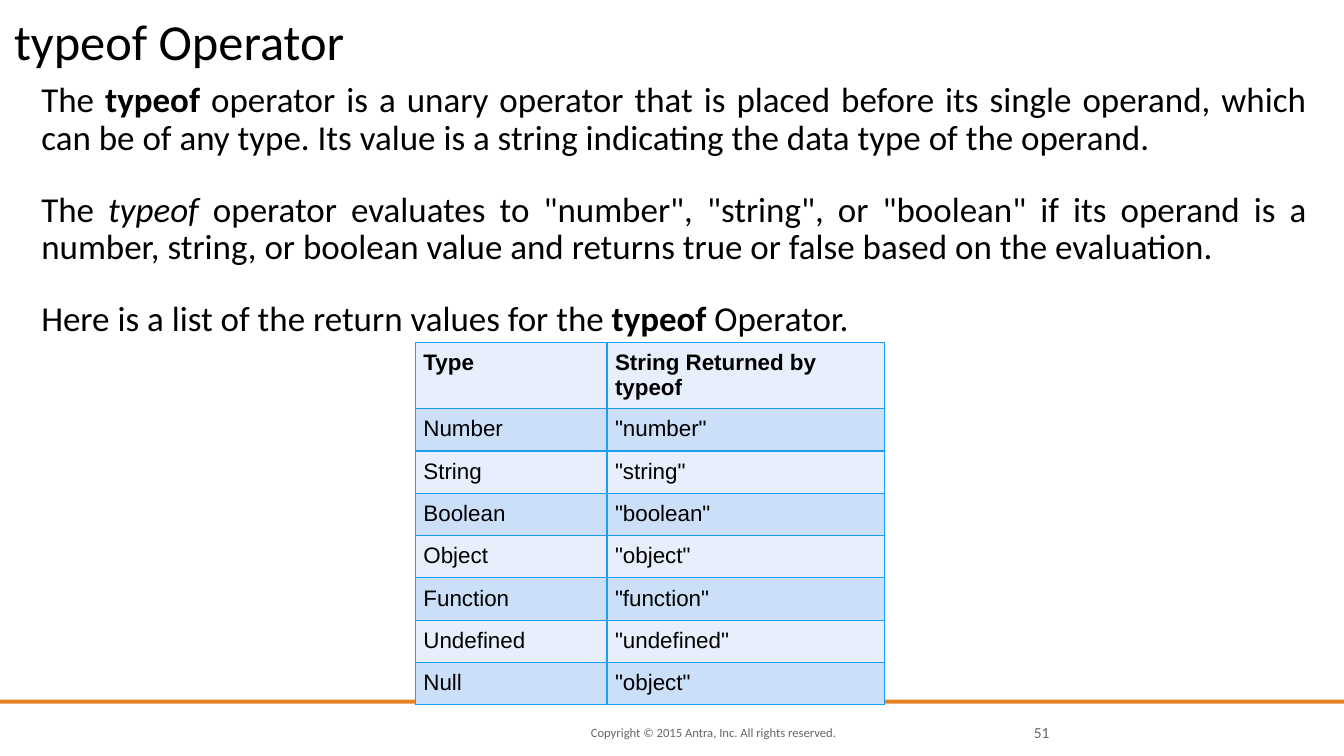
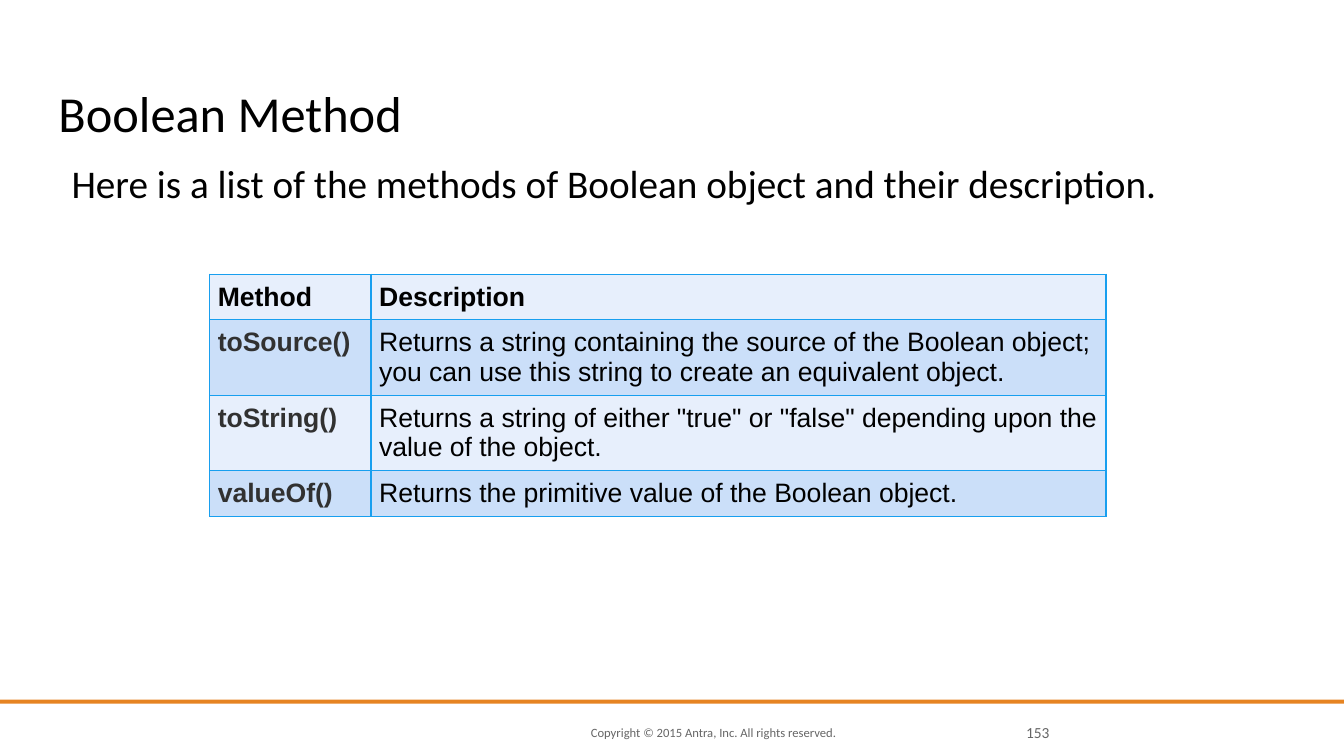
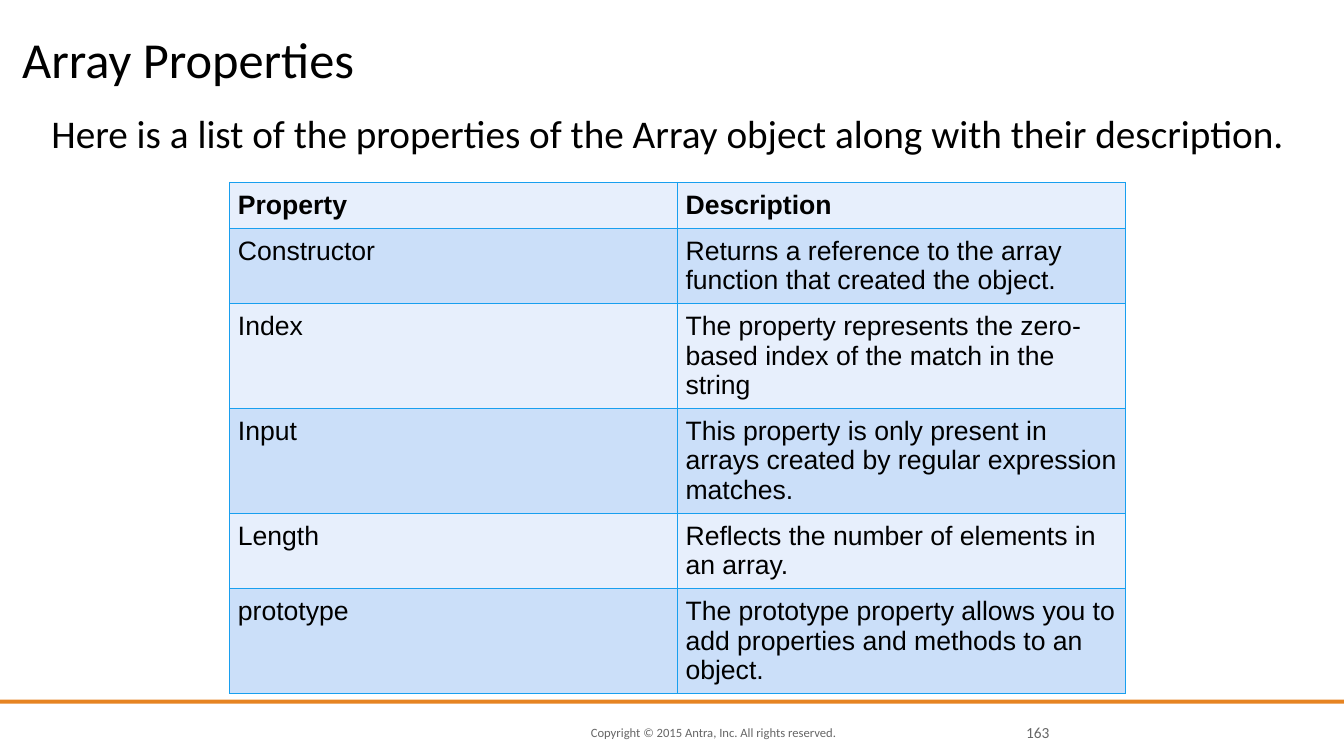
from lxml.etree import SubElement
from pptx import Presentation
from pptx.dml.color import RGBColor
from pptx.enum.shapes import MSO_SHAPE
from pptx.enum.text import MSO_ANCHOR, MSO_AUTO_SIZE, PP_ALIGN
from pptx.oxml.ns import qn
from pptx.util import Inches, Pt

BLACK = RGBColor(0x00, 0x00, 0x00)
CHARCOAL = RGBColor(0x31, 0x31, 0x31)
GRAY = RGBColor(0x66, 0x66, 0x66)
ORANGE = RGBColor(0xE6, 0x84, 0x22)
BORDER = RGBColor(0x18, 0x9F, 0xEF)
BANDS = RGBColor(0xE7, 0xEF, 0xFC), RGBColor(0xCB, 0xDF, 0xF9)


def add_text(p, text, size=18, font="Calibri", color=BLACK, bold=False, italic=False):
    r = p.add_run()
    r.text = text
    r.font.size = Pt(size)
    r.font.name = font
    r.font.color.rgb = color
    r.font.bold = bold
    r.font.italic = italic


class Deck:
    footer = "Copyright © 2015 Antra, Inc. All rights reserved."

    def __init__(self):
        self.prs = Presentation()
        self.prs.slide_width = Inches(13.33)
        self.prs.slide_height = Inches(7.5)
        self.s = None

    def add_slide(self, number):
        self.s = self.prs.slides.add_slide(self.prs.slide_layouts[1])
        band = self.s.shapes.add_shape(
            MSO_SHAPE.RECTANGLE, 0, Inches(6.94), self.prs.slide_width, Inches(0.04))
        band.shadow.inherit = False
        band.fill.solid()
        band.fill.fore_color.rgb = ORANGE
        band.line.fill.background()
        self.note(self.footer, 5.86, 3.05, 9, PP_ALIGN.LEFT)
        self.note(str(number), 9.99, 0.42, 11, PP_ALIGN.RIGHT)

    def frame(self, sp, anchor):
        tf = sp.text_frame
        tf.margin_left = tf.margin_right = tf.margin_top = tf.margin_bottom = 0
        tf.auto_size = MSO_AUTO_SIZE.NONE
        tf.word_wrap = True
        tf.vertical_anchor = anchor
        return tf

    def place(self, sp, left, top, width, height):
        sp.left, sp.top = Inches(left), Inches(top)
        sp.width, sp.height = Inches(width), Inches(height)

    def note(self, text, left, width, size, align):
        sp = self.s.shapes.add_textbox(
            Inches(left), Inches(7.17), Inches(width), Inches(0.2))
        p = self.frame(sp, MSO_ANCHOR.MIDDLE).paragraphs[0]
        p.alignment = align
        add_text(p, text, size=size, color=GRAY)

    def title(self, text, left, top, height):
        sp = self.s.shapes.title
        self.place(sp, left, top, 12.17, height)
        p = self.frame(sp, MSO_ANCHOR.BOTTOM).paragraphs[0]
        p.alignment = PP_ALIGN.LEFT
        p.line_spacing = 0.8
        add_text(p, text, size=36)

    def body(self, paragraphs, left, top, width, size=28, align=PP_ALIGN.LEFT):
        sp = self.s.placeholders[1]
        self.place(sp, left, top, width, 4.33)
        tf = self.frame(sp, MSO_ANCHOR.TOP)
        for i, runs in enumerate(paragraphs):
            p = tf.add_paragraph() if i else tf.paragraphs[0]
            pPr = p._p.get_or_add_pPr()
            pPr.set("marL", "0")
            pPr.set("indent", "0")
            SubElement(pPr, qn("a:buNone"))
            p.alignment = align
            p.line_spacing = 0.9
            p.space_before = Pt(24 if i else 0)
            for text, style in runs:
                add_text(p, text, size=size, **style)

    def borders(self, cell):
        tcPr = cell._tc.get_or_add_tcPr()
        for side in ("L", "R", "T", "B"):
            ln = SubElement(tcPr, qn(f"a:ln{side}"), w=str(Pt(1)))
            fill = SubElement(ln, qn("a:solidFill"))
            SubElement(fill, qn("a:srgbClr"), val=str(BORDER))

    def table(self, rows, left, top, widths, row_height=0.41, size=19, key_style=None):
        tbl = self.s.shapes.add_table(
            len(rows), len(widths), Inches(left), Inches(top),
            Inches(sum(widths)), Inches(row_height * len(rows))).table
        tbl.first_row = tbl.horz_banding = False
        for col, width in zip(tbl.columns, widths):
            col.width = Inches(width)
        for i, row in enumerate(rows):
            tbl.rows[i].height = Inches(row_height)
            for j, text in enumerate(row):
                cell = tbl.cell(i, j)
                cell.margin_left = cell.margin_right = Inches(0.08)
                cell.margin_top = cell.margin_bottom = Inches(0.08)
                self.borders(cell)
                cell.fill.solid()
                cell.fill.fore_color.rgb = BANDS[i % 2]
                style = {"bold": True} if i == 0 else (key_style or {}) if j == 0 else {}
                add_text(cell.text_frame.paragraphs[0], text, size=size, font="Arial", **style)


def main():
    deck = Deck()

    deck.add_slide(51)
    deck.title("typeof Operator", 0.14, 0.16, 0.54)
    deck.body([
        [("The ", {}), ("typeof", {"bold": True}),
         (" operator is a unary operator that is placed before its single operand, "
          "which can be of any type. Its value is a string indicating the data type "
          "of the operand.", {})],
        [("The ", {}), ("typeof", {"italic": True}),
         (' operator evaluates to "number", "string", or "boolean" if its operand is '
          "a number, string, or boolean value and returns true or false based on the "
          "evaluation.", {})],
        [("Here is a list of the return values for the ", {}),
         ("typeof", {"bold": True}), (" Operator.", {})],
    ], 0.41, 0.82, 12.55, size=25, align=PP_ALIGN.JUSTIFY)
    deck.table([
        ("Type", "String Returned by typeof"),
        ("Number", '"number"'),
        ("String", '"string"'),
        ("Boolean", '"boolean"'),
        ("Object", '"object"'),
        ("Function", '"function"'),
        ("Undefined", '"undefined"'),
        ("Null", '"object"'),
    ], 4.12, 3.4, (1.9, 2.75), row_height=0.42, size=16)

    deck.add_slide(153)
    deck.title("Boolean Method", 0.58, 0.44, 0.97)
    deck.body([[("Here is a list of the methods of Boolean object and their description.", {})]],
              0.71, 1.63, 11.62)
    deck.table([
        ("Method", "Description"),
        ("toSource()", "Returns a string containing the source of the Boolean object; "
                       "you can use this string to create an equivalent object."),
        ("toString()", 'Returns a string of either "true" or "false" depending upon '
                       "the value of the object."),
        ("valueOf()", "Returns the primitive value of the Boolean object."),
    ], 2.08, 2.72, (1.6, 7.29), key_style={"bold": True, "color": CHARCOAL})

    deck.add_slide(163)
    deck.title("Array Properties", 0.22, 0.23, 0.65)
    deck.body([[("Here is a list of the properties of the Array object along with "
                 "their description.", {})]], 0.51, 1.14, 12.44)
    deck.table([
        ("Property", "Description"),
        ("Constructor", "Returns a reference to the array function that created the object."),
        ("Index", "The property represents the zero-based index of the match in the string"),
        ("Input", "This property is only present in arrays created by regular "
                  "expression matches."),
        ("Length", "Reflects the number of elements in an array."),
        ("prototype", "The prototype property allows you to add properties and methods "
                      "to an object."),
    ], 2.28, 1.81, (4.44, 4.44))

    deck.prs.save("out.pptx")


if __name__ == "__main__":
    main()
